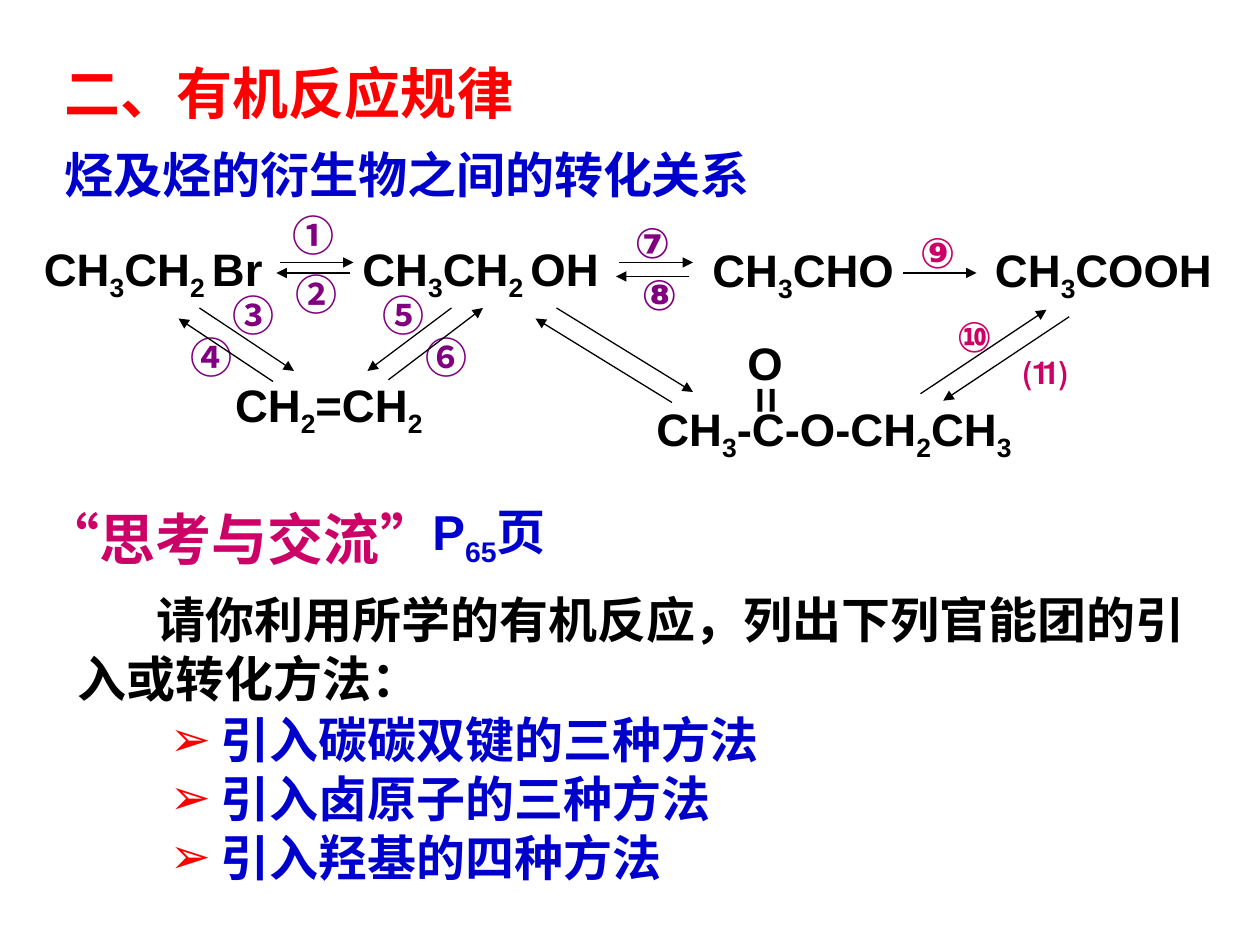
"""Build a slide on conversions between hydrocarbons and their derivatives."""
import dataclasses
import typing

import lxml.etree
import pptx
import pptx.dml.color
import pptx.enum.shapes
import pptx.enum.text
import pptx.oxml.ns
import pptx.slide
import pptx.util

Pt = pptx.util.Pt
qualified = pptx.oxml.ns.qn


@dataclasses.dataclass(frozen=True)
class Theme:
    black: str = "000000"
    blue: str = "0000CC"
    red: str = "FF0000"
    purple: str = "800080"
    pink: str = "CC0066"
    heading: float = 32
    body: float = 28
    formula: float = 26
    mark: float = 24
    line: float = 0.75
    latin: str = "Arial"
    chinese: str = "Noto Sans CJK SC"
    japanese: str = "Noto Sans CJK JP"


THEME = Theme()


class Piece(typing.NamedTuple):
    text: str
    subscript: bool = False
    font: str = THEME.latin


@dataclasses.dataclass(frozen=True)
class Label:
    left: float
    top: float
    width: float
    height: float
    paragraphs: list[list[Piece]]
    size: float
    color: str
    wrap: bool = True
    indent: float = 0
    bullet: str = ""
    vertical: bool = False


class Arrow(typing.NamedTuple):
    x1: float
    y1: float
    x2: float
    y2: float


def plain(text: str) -> list[list[Piece]]:
    return [[Piece(text)]]


def chemical(text: str) -> list[list[Piece]]:
    """Split on underscores, where every second part is a subscript."""
    parts = text.split("_")
    return [[Piece(part, index % 2 == 1) for index, part in enumerate(parts) if part]]


def formula(left: float, top: float, width: float, text: str) -> Label:
    return Label(left, top, width, 43, chemical(text), THEME.formula, THEME.black)


def mark(left: float, top: float, text: str, color: str, font: str) -> Label:
    return Label(left, top, 34.5, 36, [[Piece(text, font=font)]], THEME.mark, color, wrap=False)


def add_child(parent: typing.Any, tag: str, **attributes: str) -> typing.Any:
    return lxml.etree.SubElement(parent, qualified(tag), attributes)


def add_label(slide: pptx.slide.Slide, label: Label) -> None:
    shape = slide.shapes.add_textbox(Pt(label.left), Pt(label.top), Pt(label.width), Pt(label.height))
    frame = shape.text_frame
    frame.word_wrap = label.wrap
    frame.auto_size = pptx.enum.text.MSO_AUTO_SIZE.SHAPE_TO_FIT_TEXT
    if label.vertical:
        frame._txBody.bodyPr.set("vert", "eaVert")
        frame.margin_left = frame.margin_right = Pt(3.6)
        frame.margin_top = frame.margin_bottom = Pt(7.2)
    for index, pieces in enumerate(label.paragraphs):
        paragraph = frame.add_paragraph() if index else frame.paragraphs[0]
        properties = paragraph._p.get_or_add_pPr()
        if label.bullet:
            properties.set("marL", str(Pt(label.indent)))
            properties.set("indent", str(-Pt(label.indent)))
            add_child(add_child(properties, "a:buClr"), "a:srgbClr", val=THEME.red)
            add_child(properties, "a:buFont", typeface=THEME.latin)
            add_child(properties, "a:buChar", char=label.bullet)
        elif label.indent:
            properties.set("indent", str(Pt(label.indent)))
        for piece in pieces:
            add_run(paragraph, piece, label)


def add_run(paragraph: typing.Any, piece: Piece, label: Label) -> None:
    run = paragraph.add_run()
    run.text = piece.text
    run.font.size = Pt(label.size)
    run.font.bold = True
    run.font.name = piece.font
    run.font.color.rgb = pptx.dml.color.RGBColor.from_string(label.color)
    properties = run._r.get_or_add_rPr()
    add_child(properties, "a:ea", typeface=piece.font)
    if piece.subscript:
        properties.set("baseline", "-25000")


def add_arrow(slide: pptx.slide.Slide, arrow: Arrow) -> None:
    connector = slide.shapes.add_connector(
        pptx.enum.shapes.MSO_CONNECTOR.STRAIGHT, *(Pt(value) for value in arrow)
    )
    connector.line.width = Pt(THEME.line)
    connector.line.color.rgb = pptx.dml.color.RGBColor.from_string(THEME.black)
    add_child(connector.line._get_or_add_ln(), "a:tailEnd", type="triangle")
    add_child(connector._element.spPr, "a:effectLst")


LABELS = [
    Label(30, 30, 378, 46, plain("二、有机反应规律"), THEME.heading, THEME.red),
    Label(30, 79, 462, 41, plain("烃及烃的衍生物之间的转化关系"), THEME.body, THEME.blue),
    formula(18, 134, 150, "CH_3_CH_2 _Br"),
    formula(200, 134, 160, "CH_3_CH_2 _OH"),
    formula(400, 134.75, 130, "CH_3_CHO"),
    formula(561.5, 134.75, 150, "CH_3_COOH"),
    formula(127.25, 211.75, 130, "CH_2_=CH_2_"),
    formula(368, 225.5, 230, "CH_3_-C-O-CH_2_CH_3_"),
    Label(413.25, 214.5, 45.5, 22.5, plain("="), THEME.formula, THEME.black, wrap=False, vertical=True),
    Label(420, 188, 34.5, 39, plain("O"), THEME.formula, THEME.black, wrap=False),
    *(
        mark(left, top, text, THEME.purple, THEME.chinese)
        for left, top, text in [
            (160, 116, "①"), (162, 150, "②"), (125.5, 162, "③"),
            (101.5, 186, "④"), (211.5, 162, "⑤"), (236, 186, "⑥"),
        ]
    ),
    *(
        mark(left, top, text, color, THEME.latin)
        for left, top, text, color in [
            (355.5, 120, "⑦", THEME.purple), (359.5, 150, "⑧", THEME.purple),
            (518.5, 126, "⑨", THEME.pink), (539.5, 174, "⑩", THEME.pink),
            (578, 192, "⑾", THEME.pink),
        ]
    ),
    Label(
        18, 284.5, 255, 46,
        [[Piece("“", font=THEME.chinese), Piece("思考与交流", font=THEME.japanese),
          Piece("”", font=THEME.chinese)]],
        THEME.heading, THEME.pink,
    ),
    Label(240, 283, 102, 45, chemical("P_65_页"), THEME.body, THEME.blue),
    Label(
        37.5, 333.5, 664.5, 75,
        plain("请你利用所学的有机反应，列出下列官能团的引入或转化方法："),
        THEME.body, THEME.black, indent=45,
    ),
    Label(
        90, 402, 403, 108,
        [[Piece(f"引入{topic}方法")] for topic in ("碳碳双键的三种", "卤原子的三种", "羟基的四种")],
        THEME.body, THEME.blue, indent=29, bullet="➢",
    ),
]

ARROWS = [
    Arrow(160, 150, 202, 150),
    Arrow(200, 156, 158, 156),
    Arrow(114, 176, 168, 212),
    Arrow(156, 218, 102, 182),
    Arrow(258, 176, 210, 212),
    Arrow(222, 217, 276, 176),
    Arrow(354, 150, 396, 150),
    Arrow(394, 158, 352, 158),
    Arrow(516, 156, 558, 156),
    Arrow(318, 176, 396, 224),
    Arrow(384, 230, 306, 182),
    Arrow(526, 225, 598, 177),
    Arrow(611, 181, 539, 229),
]


def main() -> None:
    presentation = pptx.Presentation()
    presentation.slide_width, presentation.slide_height = Pt(720), Pt(540)
    slide = presentation.slides.add_slide(presentation.slide_layouts[6])
    for label in LABELS:
        add_label(slide, label)
    for arrow in ARROWS:
        add_arrow(slide, arrow)
    presentation.save("out.pptx")


if __name__ == "__main__":
    main()
